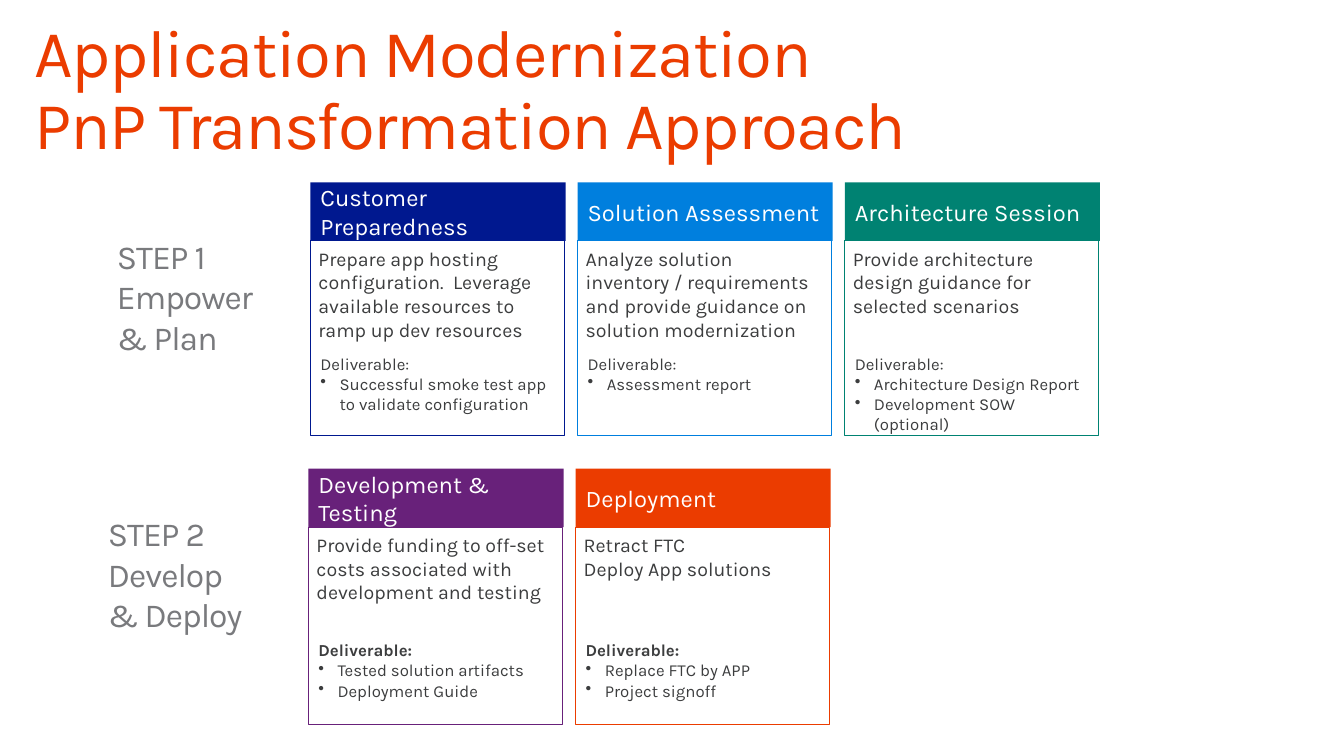
import pptx
import pptx.util
import pptx.dml.color
import pptx.enum.shapes
import pptx.enum.text
import pptx.oxml
import pptx.oxml.ns

Inches = pptx.util.Inches
Pt = pptx.util.Pt
RGB = pptx.dml.color.RGBColor
Anchor = pptx.enum.text.MSO_ANCHOR
Align = pptx.enum.text.PP_ALIGN

WHITE = RGB(0xFF, 0xFF, 0xFF)
INK = RGB(0x3C, 0x3D, 0x3E)
GRAY = RGB(0x79, 0x7A, 0x7D)
NAVY = RGB(0x00, 0x18, 0x8F)
BLUE = RGB(0x00, 0x7F, 0xDE)
TEAL = RGB(0x00, 0x82, 0x72)
PURPLE = RGB(0x68, 0x21, 0x7A)
ORANGE = RGB(0xEB, 0x3C, 0x00)

WIDTH = 2.53
PITCH = 2.65
HEAD = 0.58

# label, label left and top, row left and top, frame height, bold lead, cards
STEPS = [
    (["STEP 1", "Empower\v& Plan"], 1.16, 2.34, 3.08, 1.81, 1.93, False, [
        (NAVY, "Customer Preparedness",
         ["Prepare app hosting configuration.  Leverage available resources "
          "to ramp up dev resources"],
         ["Successful smoke test app to validate configuration"]),
        (BLUE, "Solution Assessment",
         ["Analyze solution inventory / requirements and provide guidance "
          "on solution modernization"],
         ["Assessment report"]),
        (TEAL, "Architecture Session",
         ["Provide architecture design guidance for selected scenarios"],
         ["Architecture Design Report", "Development SOW (optional)"]),
    ]),
    (["STEP 2", "Develop\v& Deploy"], 1.07, 5.09, 3.06, 4.65, 1.96, True, [
        (PURPLE, "Development & Testing",
         ["Provide funding to off-set costs associated with development "
          "and testing"],
         ["Tested solution artifacts", "Deployment Guide"]),
        (ORANGE, "Deployment",
         ["Retract FTC", "Deploy App solutions"],
         ["Replace FTC by APP", "Project signoff"]),
    ]),
]


def bullet(para):
    props = para._p.get_or_add_pPr()
    props.set("marL", str(Inches(0.19)))
    props.set("indent", str(-Inches(0.19)))
    mark = pptx.oxml.parse_xml(
        '<a:buChar %s char="•"/>' % pptx.oxml.ns.nsdecls("a"))
    props.append(mark)


def write(shape, lines, size=14, color=INK, lead=False, list_from=None,
          space=0, line=None, anchor=Anchor.TOP, pad=(0.1, 0.05, 0.1, 0.05)):
    """Fill a shape with paragraphs; lead bolds the first, list_from starts bullets."""
    frame = shape.text_frame
    frame.word_wrap = True
    frame.auto_size = pptx.enum.text.MSO_AUTO_SIZE.NONE
    frame.vertical_anchor = anchor
    (frame.margin_left, frame.margin_top,
     frame.margin_right, frame.margin_bottom) = map(Inches, pad)
    for i, text in enumerate(lines):
        para = frame.add_paragraph() if i else frame.paragraphs[0]
        para.text = text
        para.alignment = Align.LEFT
        if line:
            para.line_spacing = line
        if list_from is not None and i >= list_from:
            bullet(para)
        for run in para.runs:
            font = run.font
            font.name = "Karla"
            font.size = Pt(size)
            font.bold = lead and i == 0
            font.color.rgb = color
            if space:
                run._r.get_or_add_rPr().set("spc", str(round(space * 100)))


class Deck:
    def __init__(self):
        self.file = pptx.Presentation()
        self.file.slide_width = Inches(13.33)
        self.file.slide_height = Inches(7.5)
        self.slide = self.file.slides.add_slide(self.file.slide_layouts[5])

    def title(self, text, left, top, width, height):
        shape = self.slide.shapes.title
        shape.left, shape.top = Inches(left), Inches(top)
        shape.width, shape.height = Inches(width), Inches(height)
        write(shape, [text], size=48, color=ORANGE, space=-1, line=0.9,
              pad=(0, 0, 0, 0))

    def text(self, lines, left, top, width, height, **style):
        box = self.slide.shapes.add_textbox(
            Inches(left), Inches(top), Inches(width), Inches(height))
        write(box, lines, **style)

    def rect(self, left, top, width, height, fill=None, edge=None):
        shape = self.slide.shapes.add_shape(
            pptx.enum.shapes.MSO_SHAPE.RECTANGLE,
            Inches(left), Inches(top), Inches(width), Inches(height))
        shape.shadow.inherit = False
        if fill is None:
            shape.fill.background()
        else:
            shape.fill.solid()
            shape.fill.fore_color.rgb = fill
        if edge is None:
            shape.line.fill.background()
        else:
            shape.line.color.rgb = edge
            shape.line.width = Pt(0.75)
        return shape

    def card(self, left, top, tall, lead, color, name, body, goods):
        """Draw a header, its description, the deliverables and a frame."""
        head = self.rect(left, top, WIDTH, HEAD, fill=color)
        write(head, [name], size=17, color=WHITE, anchor=Anchor.MIDDLE)
        self.text(body, left - 0.02, top + 0.59, WIDTH, 0.97)
        goal = self.rect(left, top + 1.65, WIDTH, 0.7, fill=WHITE)
        write(goal, ["Deliverable:"] + goods, size=12, lead=lead, list_from=1,
              pad=(0.1, 0.05, 0.1, 0))
        self.rect(left, top + HEAD, WIDTH - 0.01, tall, edge=color)


def main():
    deck = Deck()
    deck.title("Application Modernization\vPnP Transformation Approach",
               0.34, 0.19, 12.19, 0.82)
    for label, x, y, left, top, tall, lead, cards in STEPS:
        for i, card in enumerate(cards):
            deck.card(left + i * PITCH, top, tall, lead, *card)
        deck.text(label, x, y, 1.79, 1.21, size=24, color=GRAY, space=-0.7,
                  pad=(0, 0, 0, 0))
    deck.file.save("out.pptx")


if __name__ == "__main__":
    main()
